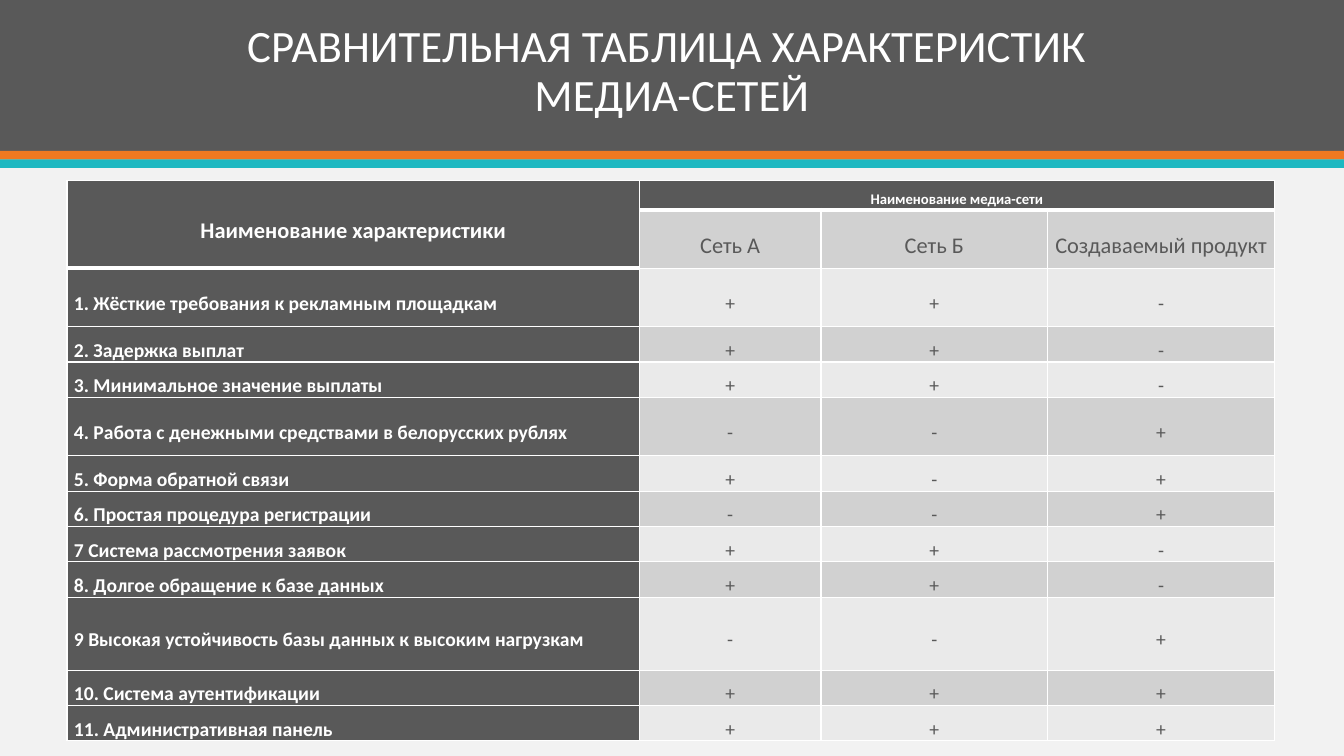
from dataclasses import dataclass

from lxml import etree
from pptx import Presentation
from pptx.dml.color import RGBColor
from pptx.enum import shapes, text
from pptx.oxml import ns
from pptx.util import Pt

DARK = RGBColor(0x59, 0x59, 0x59)
ORANGE = RGBColor(0xEF, 0x79, 0x20)
TEAL = RGBColor(0x1E, 0xB8, 0xC1)
PAPER = RGBColor(0xF2, 0xF2, 0xF2)
WHITE = RGBColor(0xFF, 0xFF, 0xFF)
SHADES = (RGBColor(0xD1, 0xD1, 0xD1), RGBColor(0xEA, 0xEA, 0xEA))

FONT = "Calibri"
WIDTH, HEIGHT = 960, 540
LEFT, CENTER = text.PP_ALIGN.LEFT, text.PP_ALIGN.CENTER
LOW, TALL, HIGH = 24.5, 41.8, 52.2


@dataclass
class Band:
    top: float
    height: float
    color: RGBColor


@dataclass
class Trait:
    name: str
    marks: str
    height: float = LOW


BANDS = [Band(0, 108, DARK), Band(107.8, 6.2, ORANGE), Band(113.8, 6.2, TEAL)]
TITLE = "СРАВНИТЕЛЬНАЯ ТАБЛИЦА ХАРАКТЕРИСТИК \nМЕДИА-СЕТЕЙ"
COLUMNS = (409, 129.6, 162, 162)
HEADS = (21, TALL)
MEDIA = ("Сеть А", "Сеть Б", "Создаваемый продукт")
TRAITS = [
    Trait("1. Жёсткие требования к рекламным площадкам", "++-", TALL),
    Trait("2. Задержка выплат", "++-"),
    Trait("3. Минимальное значение выплаты", "++-"),
    Trait("4. Работа с денежными средствами в белорусских рублях", "--+", TALL),
    Trait("5. Форма обратной связи", "+-+"),
    Trait("6. Простая процедура регистрации", "--+"),
    Trait("7 Система рассмотрения заявок", "++-"),
    Trait("8. Долгое обращение к базе данных", "++-"),
    Trait("9 Высокая устойчивость базы данных к высоким нагрузкам", "--+", HIGH),
    Trait("10. Система аутентификации", "+++"),
    Trait("11. Административная панель", "+++"),
]


def write(frame, words: str, *, size: float, color: RGBColor = WHITE,
          bold: bool = False, align=CENTER, space: float = 1.5) -> None:
    """Fill a text frame with one formatted paragraph."""
    para = frame.paragraphs[0]
    para.alignment = align
    para.line_spacing = space
    for index, line in enumerate(words.split("\n")):
        if index:
            para.add_line_break()
        run = para.add_run()
        run.text = line
        run.font.name = FONT
        run.font.size = Pt(size)
        run.font.bold = bold
        run.font.color.rgb = color


def draw_band(slide, band: Band) -> None:
    shape = slide.shapes.add_shape(shapes.MSO_SHAPE.RECTANGLE, 0, Pt(band.top),
                                   Pt(WIDTH), Pt(band.height))
    shape.shadow.inherit = False
    shape.fill.solid()
    shape.fill.fore_color.rgb = band.color
    shape.line.fill.background()


def draw_title(slide) -> None:
    box = slide.shapes.add_textbox(Pt(102), Pt(8.6), Pt(756), Pt(81.4))
    frame = box.text_frame
    frame.word_wrap = True
    frame.vertical_anchor = text.MSO_ANCHOR.BOTTOM
    write(frame, TITLE, size=32, space=0.9)


def edge(cell, base: float) -> None:
    """Give a cell white borders, with its own bottom width."""
    props = cell._tc.get_or_add_tcPr()
    for index, side in enumerate(("lnL", "lnR", "lnT", "lnB")):
        width = base if side == "lnB" else 1
        line = etree.Element(ns.qn(f"a:{side}"), w=str(Pt(width)))
        fill = etree.SubElement(line, ns.qn("a:solidFill"))
        etree.SubElement(fill, ns.qn("a:srgbClr"), val=str(WHITE))
        props.insert(index, line)


def fill_cell(cell, words: str, fill: RGBColor, *, base: float = 1,
              **style) -> None:
    cell.margin_left = cell.margin_right = Pt(5)
    cell.margin_top = cell.margin_bottom = 0
    cell.vertical_anchor = text.MSO_ANCHOR.MIDDLE
    cell.fill.solid()
    cell.fill.fore_color.rgb = fill
    edge(cell, base)
    write(cell.text_frame, words, **style)


def draw_table(slide) -> None:
    heights = [*HEADS, *(trait.height for trait in TRAITS)]
    grid = slide.shapes.add_table(len(heights), len(COLUMNS), Pt(47.8), Pt(128.8),
                                  Pt(sum(COLUMNS)), Pt(sum(heights))).table
    for column, width in zip(grid.columns, COLUMNS):
        column.width = Pt(width)
    for row, height in zip(grid.rows, heights):
        row.height = Pt(height)

    # Header rows
    grid.cell(0, 0).merge(grid.cell(1, 0))
    grid.cell(0, 1).merge(grid.cell(0, 3))
    tops = ("Наименование характеристики", "Наименование медиа-сети", "", "")
    for col, words in enumerate(tops):
        fill_cell(grid.cell(0, col), words, DARK, base=3, bold=True,
                  size=10.5 if col else 16)
    fill_cell(grid.cell(1, 0), "", DARK, base=3, size=16)
    for col, name in enumerate(MEDIA, 1):
        fill_cell(grid.cell(1, col), name, SHADES[0], size=16, color=DARK)

    # Traits and their marks
    for row, trait in enumerate(TRAITS, len(HEADS)):
        fill_cell(grid.cell(row, 0), trait.name, DARK, size=14, bold=True,
                  align=LEFT)
        for col, mark in enumerate(trait.marks, 1):
            fill_cell(grid.cell(row, col), mark, SHADES[(row + 1) % 2],
                      size=14, color=DARK)


def main() -> None:
    deck = Presentation()
    deck.slide_width, deck.slide_height = Pt(WIDTH), Pt(HEIGHT)
    slide = deck.slides.add_slide(deck.slide_layouts[6])
    slide.background.fill.solid()
    slide.background.fill.fore_color.rgb = PAPER
    for band in BANDS:
        draw_band(slide, band)
    draw_title(slide)
    draw_table(slide)
    deck.save("out.pptx")


if __name__ == "__main__":
    main()
